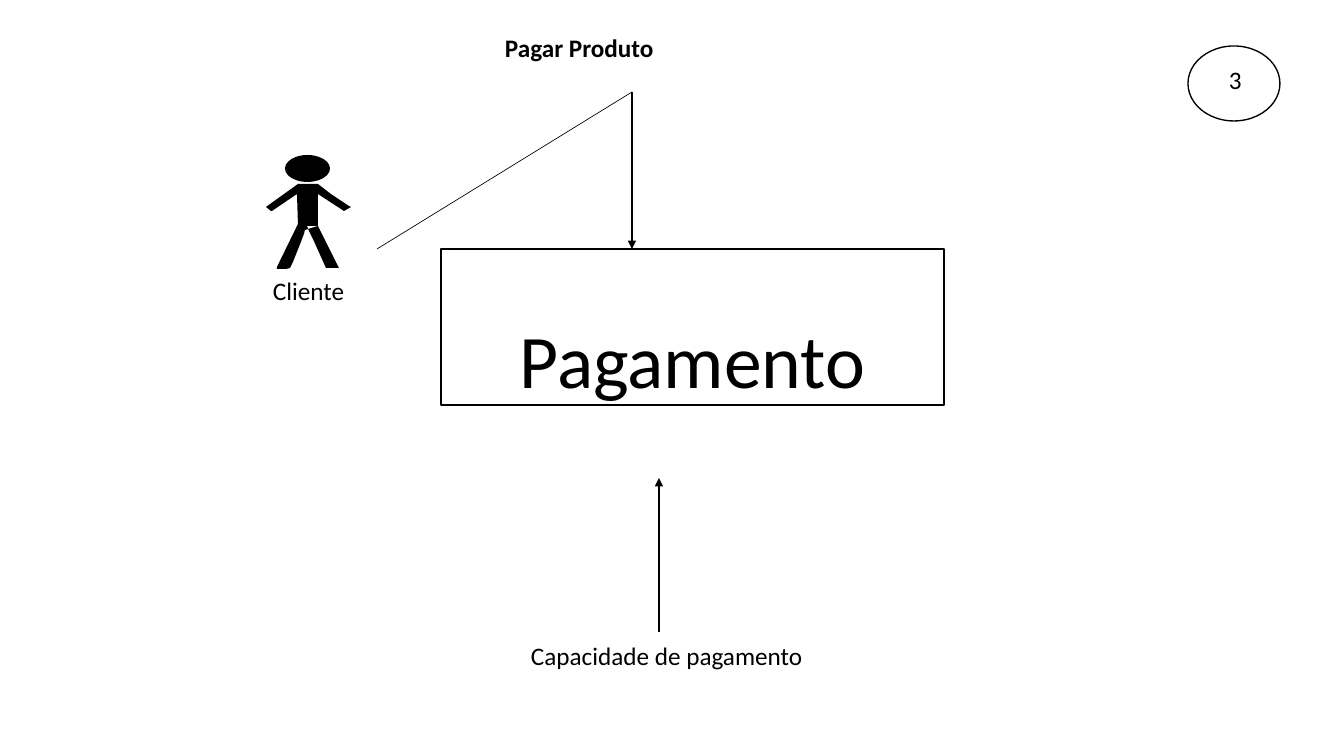
import pptx
import pptx.util
import pptx.dml.color
import pptx.enum.shapes
import pptx.enum.text
import lxml.etree

SCALE = 914400 / 100.8
COLORS = {"ink": "000000", "paper": "FFFFFF"}
SHAPES = pptx.enum.shapes.MSO_SHAPE
ALIGN = pptx.enum.text.PP_ALIGN


def emu(pixels):
    """Turn pixels into EMU."""
    return pptx.util.Emu(round(pixels * SCALE))


def color(name):
    """Look up a named colour."""
    return pptx.dml.color.RGBColor.from_string(COLORS[name])


class Diagram:
    """Style and current slide of the diagram."""

    font = "Calibri"

    def __init__(self, slide):
        """Keep the slide and give it a plain background."""
        self.shapes = slide.shapes
        slide.background.fill.solid()
        slide.background.fill.fore_color.rgb = color("paper")

    def paint(self, shape, fill, line_width):
        """Set fill and outline; None leaves either out."""
        shape.shadow.inherit = False
        if fill:
            shape.fill.solid()
            shape.fill.fore_color.rgb = color(fill)
        else:
            shape.fill.background()
        if line_width:
            shape.line.color.rgb = color("ink")
            shape.line.width = pptx.util.Pt(line_width)
        else:
            shape.line.fill.background()
        return shape

    def shape(self, kind, place, fill=None, line_width=None):
        """Add a preset shape."""
        shape = self.shapes.add_shape(kind, *map(emu, place))
        return self.paint(shape, fill, line_width)

    def outline(self, contours, fill):
        """Add one filled freeform made of closed contours."""
        first, *others = contours
        builder = self.shapes.build_freeform(*first[0], scale=SCALE)
        builder.add_line_segments(first[1:], close=True)
        for contour in others:
            builder.move_to(*contour[0])
            builder.add_line_segments(contour[1:], close=True)
        return self.paint(builder.convert_to_shape(), fill, None)

    def line(self, start, end, width, arrow=False):
        """Add a straight line, with an arrowhead at its end if asked."""
        line = self.shapes.add_connector(
            pptx.enum.shapes.MSO_CONNECTOR.STRAIGHT, *map(emu, start + end))
        line.line.color.rgb = color("ink")
        line.line.width = pptx.util.Pt(width)
        properties = line.element.spPr
        space = "{" + line.element.nsmap["a"] + "}"
        if arrow:
            stroke = properties.find(space + "ln")
            lxml.etree.SubElement(stroke, space + "tailEnd", type="triangle")
        lxml.etree.SubElement(properties, space + "effectLst")

    def put_text(self, shape, text, size=18, bold=False, align=ALIGN.LEFT, insets=(0, 1, 0, 0)):
        """Put one paragraph into a shape."""
        frame = shape.text_frame
        left, top, right, bottom = map(emu, insets)
        frame_format = {
            "word_wrap": True, "vertical_anchor": pptx.enum.text.MSO_ANCHOR.TOP,
            "margin_left": left, "margin_top": top,
            "margin_right": right, "margin_bottom": bottom,
        }
        for name, value in frame_format.items():
            setattr(frame, name, value)
        para = frame.paragraphs[0]
        para.alignment = align
        span = para.add_run()
        span.text = text
        span.font.color.rgb = color("ink")
        font_format = {"name": self.font, "size": pptx.util.Pt(size), "bold": bold}
        for name, value in font_format.items():
            setattr(span.font, name, value)

    def label(self, text, place, **style):
        """Add a text box."""
        self.put_text(self.shapes.add_textbox(*map(emu, place)), text, **style)


TORSO_AND_LEFT_LEG = [
    (318, 194), (297, 194), (298, 224), (277, 267), (277, 269), (286, 269),
    (290, 268), (293, 262), (299, 247), (304, 234), (305, 230), (318, 226)]
RIGHT_LEG = [
    (318, 226), (307, 226), (310, 233), (313, 239), (326, 268), (339, 268), (338, 266)]
SHOULDERS_AND_LEFT_ARM = [
    (318, 184), (298, 184), (266, 207), (271, 211), (272, 211), (297, 194), (331, 194)]
RIGHT_ARM = [(331, 194), (318, 194), (321, 196), (344, 211), (351, 207), (349, 206)]

deck = pptx.Presentation()
deck.slide_width, deck.slide_height = emu(1344), emu(756)
page = Diagram(deck.slides.add_slide(deck.slide_layouts[6]))

page.shape(SHAPES.OVAL, (285, 155, 45, 27), fill="ink")
page.outline([TORSO_AND_LEFT_LEG, RIGHT_LEG, SHOULDERS_AND_LEFT_ARM, RIGHT_ARM], "ink")
page.label("Pagar Produto", (505, 31, 281, 33), bold=True)
page.label("Cliente", (273, 274, 75, 33))

page.line((377, 249), (632, 92), 0.48)
page.line((632, 92), (632, 249), 1.44, arrow=True)
page.line((659, 632), (659, 478), 0.96, arrow=True)

process = page.shape(SHAPES.RECTANGLE, (441, 249, 503, 156), line_width=0.96)
page.put_text(process, "Pagamento", size=54, align=ALIGN.CENTER, insets=(0, 64, 0, 0))

page.shape(SHAPES.OVAL, (1188, 46, 92, 75), line_width=0.96)
page.label("3", (1229, 63, 16, 33))
page.label("Capacidade de pagamento", (521, 635, 310, 40), insets=(10, 5, 10, 5))

deck.save("out.pptx")
